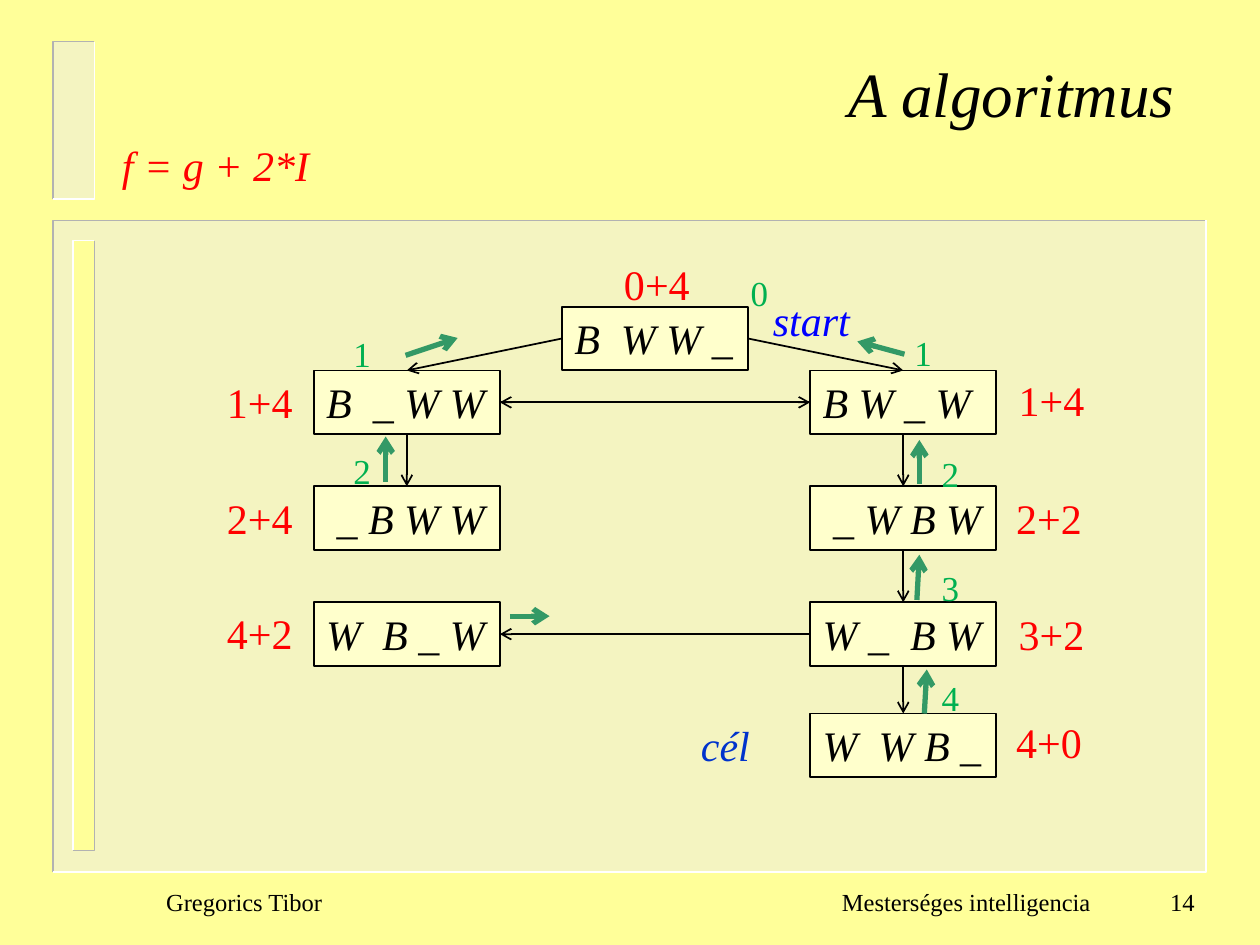
from dataclasses import dataclass

from lxml.etree import SubElement
from pptx import Presentation
from pptx.dml.color import RGBColor
from pptx.enum.shapes import MSO_CONNECTOR as LINK, MSO_SHAPE as SHAPE
from pptx.enum.text import MSO_ANCHOR as ANCHOR, PP_ALIGN as ALIGN
from pptx.oxml.ns import qn
from pptx.util import Inches, Pt

FONT = "Times New Roman"
YELLOW = RGBColor(0xFF, 0xFF, 0x99)
CREAM = RGBColor(0xFF, 0xFF, 0xCC)
PALE = RGBColor(0xEA, 0xEA, 0xEA)
GREY = RGBColor(0xB2, 0xB2, 0xB2)
WHITE = RGBColor(0xFF, 0xFF, 0xFF)
BLACK = RGBColor(0, 0, 0)
RED = RGBColor(0xFF, 0, 0)
BLUE = RGBColor(0, 0, 0xFF)
NAVY = RGBColor(0, 0x33, 0xCC)
GREEN = RGBColor(0, 0xB0, 0x50)
TEAL = RGBColor(0x33, 0x99, 0x66)

TOP, LEFT, BOTTOM, RIGHT = range(4)
NODE_WIDTH, NODE_HEIGHT = 0.75, 0.55
NODES = {
    "start": ("B  W W _", 1, -0.55),
    "left 1": ("B  _ W W", 0, 0),
    "left 2": (" _ B W W", 0, 1),
    "left 4": ("W  B _ W", 0, 2),
    "right 1": ("B W _ W", 2, 0),
    "right 2": (" _ W B W", 2, 1),
    "right 3": ("W _  B W", 2, 2),
    "goal": ("W  W B _", 2, 2.96),
}
EDGES = [
    ("start", LEFT, "left 1", TOP),
    ("start", RIGHT, "right 1", TOP),
    ("left 1", BOTTOM, "left 2", TOP),
    ("left 1", RIGHT, "right 1", LEFT),
    ("right 1", LEFT, "left 1", RIGHT),
    ("right 1", BOTTOM, "right 2", TOP),
    ("right 2", BOTTOM, "right 3", TOP),
    ("right 3", BOTTOM, "goal", TOP),
    ("right 3", LEFT, "left 4", RIGHT),
]
BACK_POINTERS = [
    (0.37, -0.13, 0.58, -0.28),
    (2.38, -0.14, 2.19, -0.25),
    (0.29, 0.96, 0.29, 0.57),
    (0.79, 2.12, 0.95, 2.12),
    (2.44, 0.98, 2.44, 0.6),
    (2.43, 1.98, 2.44, 1.59),
    (2.46, 2.96, 2.47, 2.58),
]
COSTS = [
    ("0+4", 1.2, -1.02), ("1+4", -0.4, 0), ("2+4", -0.4, 1), ("4+2", -0.4, 1.99),
    ("1+4", 2.79, -0.02), ("2+2", 2.78, 1), ("3+2", 2.79, 2), ("4+0", 2.78, 2.93),
]
DEPTHS = [
    ("0", 1.71, -0.91), ("1", 0.11, -0.38), ("2", 0.11, 0.63), ("1", 2.37, -0.39),
    ("2", 2.48, 0.65), ("3", 2.48, 1.64), ("4", 2.48, 2.59),
]


@dataclass
class Box:
    """A region in inches, divided into columns and rows."""

    left: float
    top: float
    width: float
    height: float
    columns: int = 1
    rows: int = 1

    def point(self, column, row):
        """Return the position of a grid point."""
        return (Inches(self.left + column * self.width / self.columns),
                Inches(self.top + row * self.height / self.rows))

    def size(self, columns, rows):
        """Return the size of a span of cells."""
        return (Inches(columns * self.width / self.columns),
                Inches(rows * self.height / self.rows))

    def frame(self):
        """Return the position and size of the whole region."""
        return *self.point(0, 0), *self.size(self.columns, self.rows)


def write(holder, text, size=24, color=BLACK, italic=False, align=ALIGN.LEFT,
          anchor=ANCHOR.TOP, wrap=False, tab=None):
    """Fill a shape with one formatted paragraph."""
    frame = holder.text_frame
    frame.word_wrap = wrap
    frame.vertical_anchor = anchor
    frame.margin_left = frame.margin_right = Inches(0.1)
    frame.margin_top = frame.margin_bottom = Inches(0.05)
    paragraph = frame.paragraphs[0]
    paragraph.text = text
    paragraph.alignment = align
    if tab:
        stops = SubElement(paragraph._p.get_or_add_pPr(), qn("a:tabLst"))
        SubElement(stops, qn("a:tab"), pos=str(Inches(tab)), algn="r")
    font = paragraph.font
    font.name, font.size, font.italic = FONT, Pt(size), italic
    font.color.rgb = color


def add_rectangle(slide, frame, color, alpha=None):
    """Draw a plain rectangle, partly transparent when alpha is given."""
    panel = slide.shapes.add_shape(SHAPE.RECTANGLE, *frame)
    panel.shadow.inherit = False
    panel.fill.solid()
    panel.fill.fore_color.rgb = color
    panel.line.fill.background()
    if alpha:
        tone = panel.fill._xPr.find(qn("a:solidFill"))[0]
        SubElement(tone, qn("a:alpha"), val=str(alpha * 1000))
    return panel


def add_bevel(slide, box, color, upper, lower, alpha=None):
    """Draw a panel with differently coloured upper-left and lower-right edges."""
    add_rectangle(slide, box.frame(), color, alpha)
    for corner, tone in (((0, 0), upper), ((1, 1), lower)):
        pen = slide.shapes.build_freeform(*box.point(1, 0))
        pen.add_line_segments([box.point(*corner), box.point(0, 1)], close=False)
        edge = pen.convert_to_shape()
        edge.shadow.inherit = False
        edge.fill.background()
        edge.line.color.rgb = tone
        edge.line.width = Pt(1)


def add_arrow(slide, start, end, color=BLACK, width=1):
    """Draw a straight arrow and return it."""
    arrow = slide.shapes.add_connector(LINK.STRAIGHT, *start, *end)
    arrow.line.color.rgb = color
    arrow.line.width = Pt(width)
    SubElement(arrow.line._get_or_add_ln(), qn("a:tailEnd"), type="arrow")
    SubElement(arrow._element.spPr, qn("a:effectLst"))
    return arrow


def add_label(slide, box, text, **style):
    """Place a text box over a region."""
    write(slide.shapes.add_textbox(*box.frame()), text, **style)


def add_frame(slide):
    """Draw the background and the beveled panels."""
    slide.background.fill.solid()
    slide.background.fill.fore_color.rgb = YELLOW
    add_bevel(slide, Box(0.42, 1.75, 9.15, 5.17), PALE, GREY, WHITE, alpha=50)
    add_bevel(slide, Box(0.58, 1.91, 0.17, 4.84), YELLOW, WHITE, GREY)
    add_bevel(slide, Box(0.42, 0.33, 0.33, 1.25), PALE, GREY, WHITE, alpha=50)


def add_heading(slide, box):
    """Place the title and the evaluation function."""
    title = slide.shapes.title
    title.left, title.top, title.width, title.height = box.frame()
    write(title, "A algoritmus", size=36, italic=True, align=ALIGN.RIGHT, wrap=True)
    formula = Box(box.left - 0.05, box.top + 0.68, 1.7, 0.5)
    add_label(slide, formula, "f = g + 2*I", color=RED, italic=True)


def add_graph(slide, box):
    """Draw the search graph with its costs, depths and back pointers."""
    nodes = {}
    for name, (state, column, row) in NODES.items():
        frame = *box.point(column, row), *box.size(NODE_WIDTH, NODE_HEIGHT)
        nodes[name] = node = add_rectangle(slide, frame, CREAM)
        node.line.color.rgb = BLACK
        node.line.width = Pt(1)
        write(node, state, italic=True)
    for origin, exit_site, target, entry_site in EDGES:
        edge = add_arrow(slide, (0, 0), (0, 0))
        edge.begin_connect(nodes[origin], exit_site)
        edge.end_connect(nodes[target], entry_site)
    for x1, y1, x2, y2 in BACK_POINTERS:
        add_arrow(slide, box.point(x1, y1), box.point(x2, y2), TEAL, 3)
    groups = [
        (COSTS, 0.37, dict(color=RED)),
        (DEPTHS, 0.2, dict(color=GREEN, size=20)),
        ([("start", 1.8, -0.71)], 0.42, dict(color=BLUE, italic=True)),
        ([("cél", 1.51, 2.96)], 0.3, dict(color=NAVY, italic=True)),
    ]
    for labels, width, style in groups:
        for text, column, row in labels:
            spot = slide.shapes.add_textbox(*box.point(column, row),
                                            *box.size(width, NODE_HEIGHT))
            write(spot, text, **style)


def add_footer(slide, box):
    """Place the author, the course and the slide number."""
    names = Box(box.left, box.top, 7.54, box.height)
    number = Box(box.left + 7.54, box.top, box.width - 7.54, box.height)
    add_label(slide, names, "Gregorics Tibor\tMesterséges intelligencia",
              size=14, anchor=ANCHOR.MIDDLE, wrap=True, tab=7.34)
    add_label(slide, number, "14", size=14, align=ALIGN.RIGHT,
              anchor=ANCHOR.MIDDLE, wrap=True)


def main():
    """Build and save the slide."""
    deck = Presentation()
    deck.slide_width, deck.slide_height = Inches(10), Inches(7.5)
    slide = deck.slides.add_slide(deck.slide_layouts[5])
    add_frame(slide)
    add_heading(slide, Box(0.92, 0.38, 8.5, 1.21))
    add_graph(slide, Box(2.49, 2.94, 5.91, 3.68, columns=3, rows=4))
    add_footer(slide, Box(1.22, 6.91, 8.36, 0.5))
    deck.save("out.pptx")


if __name__ == "__main__":
    main()
